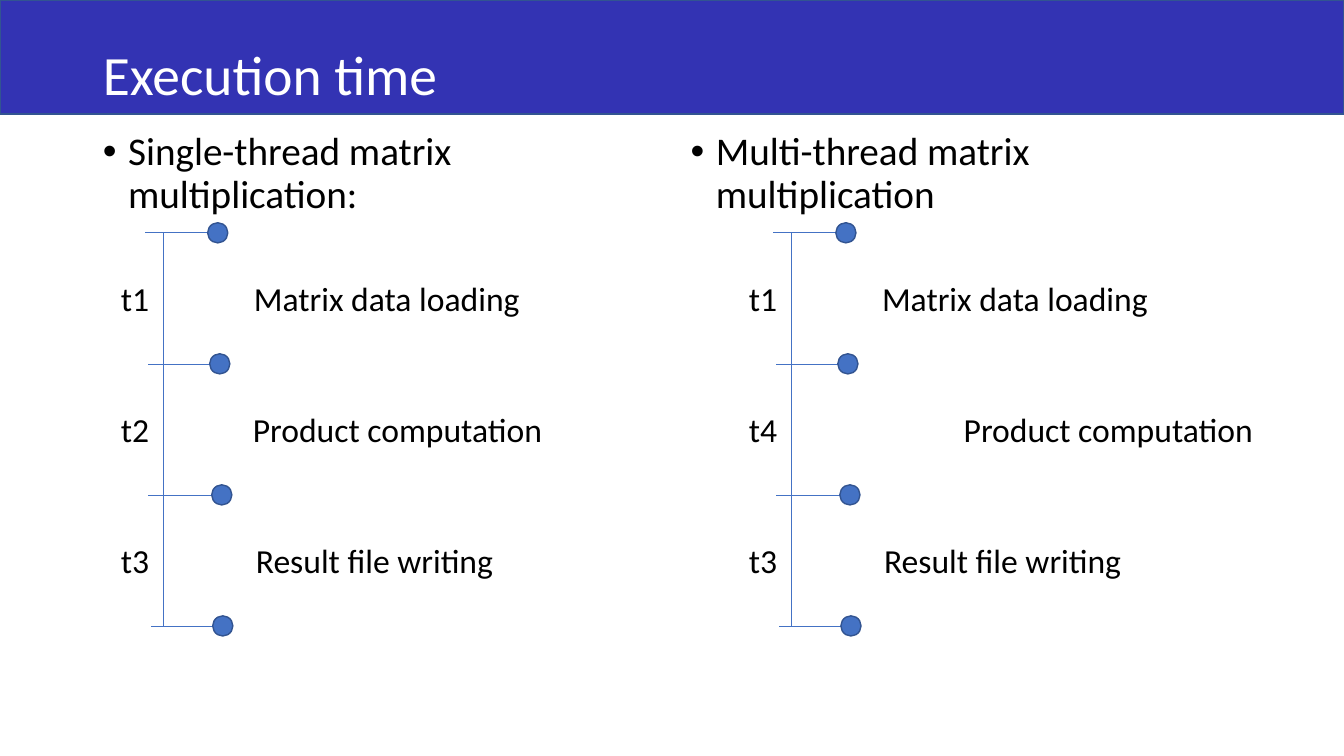
"""Build the execution time slide: two timelines side by side."""
from lxml import etree
from pptx import Presentation
from pptx import util as u
from pptx.dml.color import RGBColor
from pptx.enum import shapes, text

BLUE, EDGE, BLACK = "4472C4", "325491", "000000"
ROW_TOP, ROW_H = 2.31, 1.3
COL_GAP, DOT = 6.23, 0.2


def paint(fmt, color):
    fmt.solid()
    fmt.fore_color.rgb = RGBColor.from_string(color)


def write(shape, box, words, size, color, anchor=text.MSO_ANCHOR.MIDDLE):
    shape.left, shape.top, shape.width, shape.height = [u.Inches(v) for v in box]
    tf = shape.text_frame
    tf.word_wrap = True
    tf.auto_size = text.MSO_AUTO_SIZE.NONE
    tf.vertical_anchor = anchor
    p = tf.paragraphs[0]
    p.alignment = text.PP_ALIGN.LEFT
    p.space_before = u.Pt(0)
    r = p.add_run()
    r.text = words
    r.font.name = "Calibri"
    r.font.size = u.Pt(size)
    paint(r.font.fill, color)
    return p


prs = Presentation()
prs.slide_width, prs.slide_height = u.Inches(13.33), u.Inches(7.5)
s = prs.slides.add_slide(prs.slide_layouts[3])

band = s.shapes.add_shape(shapes.MSO_SHAPE.RECTANGLE, 0, 0, prs.slide_width, u.Inches(1.13))
band.shadow.inherit = False
paint(band.fill, "3333B3")
paint(band.line.fill, EDGE)
band.line.width = u.Pt(1)
s.shapes._spTree.insert(2, band._element)

p = write(s.shapes.title, (0.92, 0.4, 11.5, 0.73), "Execution time", 39.6, "FFFFFF")
p.line_spacing = 0.9

headings = ["Single-thread matrix multiplication:", "Multi-thread matrix multiplication"]
for i, words in enumerate(headings):
    box = (0.92 + 5.83 * i, 1.26, 5.67, 5.49)
    p = write(s.placeholders[i + 1], box, words, 28, BLACK, text.MSO_ANCHOR.TOP)
    p.line_spacing = 0.9
    pPr = p._p.get_or_add_pPr()
    pPr.set("marL", str(u.Inches(0.25)))
    pPr.set("indent", str(-u.Inches(0.25)))

steps = ["Matrix data loading", "Product computation", "Result file writing"]
timelines = [
    (["t1", "t2", "t3"], [2.42, 2.41, 2.44]),
    (["t1", "t4", "t3"], [2.42, 3.23, 2.44]),
]
ticks = [(1.44, 2.06), (1.47, 2.08), (1.47, 2.1), (1.5, 2.11)]

for col, (times, step_lefts) in enumerate(timelines):
    x = col * COL_GAP
    ys = [ROW_TOP + ROW_H * i for i in range(len(ticks))]
    spine = [(x + 1.62, y, x + 1.62, y + ROW_H) for y in ys[:-1]]
    marks = [(x + right, y, x + left, y) for (left, right), y in zip(ticks, ys)]
    for ends in spine + marks:
        line = s.shapes.add_connector(shapes.MSO_CONNECTOR.STRAIGHT, *[u.Inches(v) for v in ends])
        paint(line.line.fill, BLUE)
        line.line.width = u.Pt(0.5)
        etree.SubElement(line._element.spPr, "{http://schemas.openxmlformats.org/drawingml/2006/main}effectLst")

    for (left, right), y in zip(ticks, ys):
        box = (x + right, y - DOT / 2, DOT, DOT)
        dot = s.shapes.add_shape(shapes.MSO_SHAPE.OVAL, *[u.Inches(v) for v in box])
        dot.shadow.inherit = False
        paint(dot.fill, BLUE)
        paint(dot.line.fill, EDGE)
        dot.line.width = u.Pt(1)

    for time, step, step_left, y in zip(times, steps, step_lefts, ys):
        for words, left, width in [(time, 1.1, 0.76), (step, step_left, 3.74)]:
            write(s.shapes.add_textbox(0, 0, 0, 0), (x + left, y + 0.14, width, 1.02), words, 24, BLACK)

prs.save("out.pptx")
